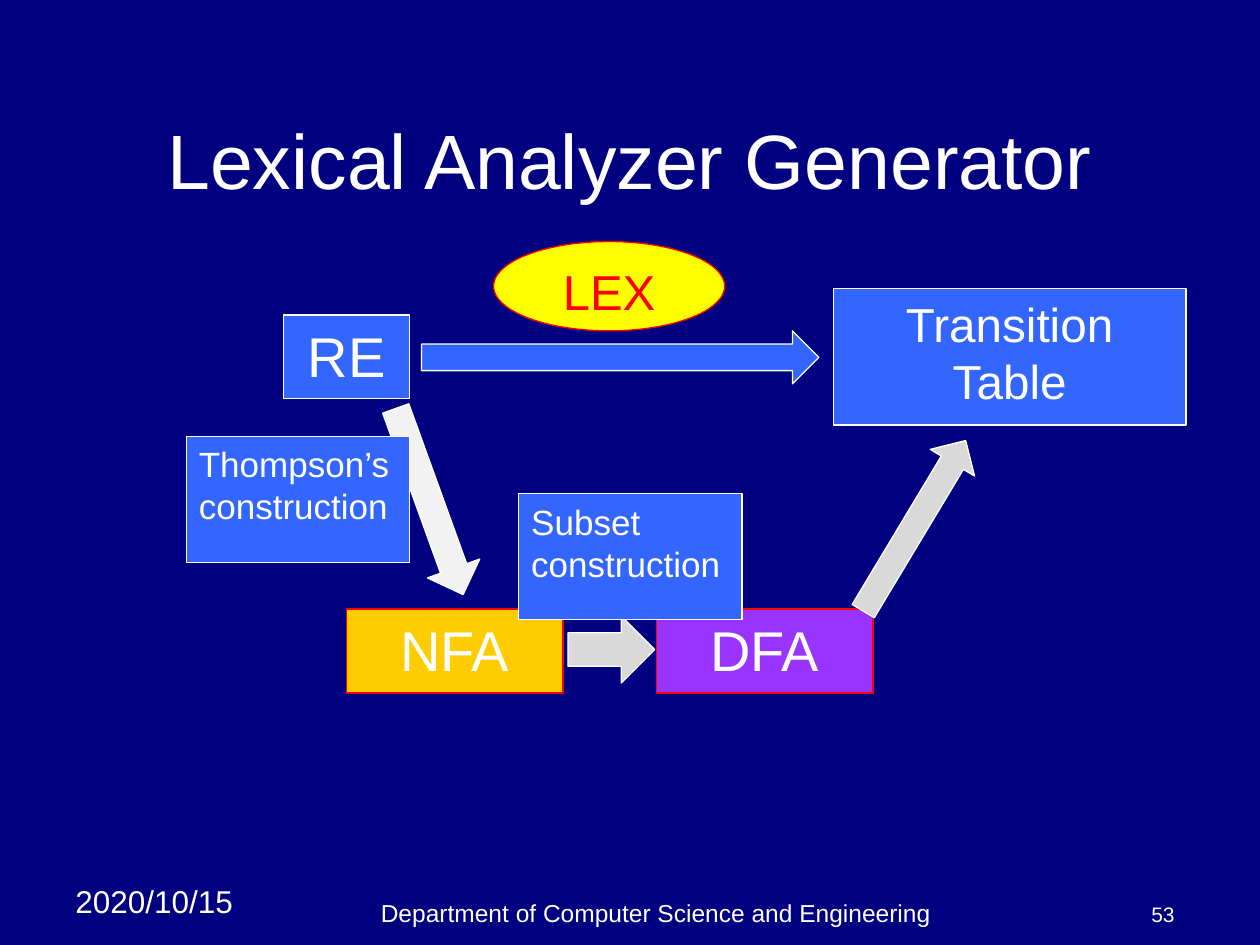
from dataclasses import dataclass
from typing import Optional

from pptx import Presentation
from pptx.dml.color import RGBColor
from pptx.enum.shapes import MSO_SHAPE
from pptx.enum.text import MSO_ANCHOR, PP_ALIGN
from pptx.util import Cm, Pt

RECT, OVAL, ARROW = MSO_SHAPE.RECTANGLE, MSO_SHAPE.OVAL, MSO_SHAPE.RIGHT_ARROW
LEFT, MID, RIGHT = PP_ALIGN.LEFT, PP_ALIGN.CENTER, PP_ALIGN.RIGHT
TOP, CENTER, BOTTOM = MSO_ANCHOR.TOP, MSO_ANCHOR.MIDDLE, MSO_ANCHOR.BOTTOM

FONT = "Arial"
COLORS = {
    "navy": "000080",
    "white": "FFFFFF",
    "blue": "3366FF",
    "yellow": "FFFF00",
    "red": "FF0000",
    "gold": "FFCC00",
    "purple": "9933FF",
    "pale": "F2F2F2",
    "gray": "D9D9D9",
}


@dataclass
class Item:
    """Lengths are centimetres; without a kind the item is a plain text box."""
    left: float
    top: float
    width: float
    height: float
    text: str = ""
    size: float = 20
    align: PP_ALIGN = MID
    anchor: MSO_ANCHOR = TOP
    ink: str = "white"
    kind: Optional[MSO_SHAPE] = None
    fill: str = "blue"
    edge: str = "white"
    turn: float = 0


LABELS = [
    Item(1.27, 17.65, 4.01, 1.02, "2020/10/15", 18, LEFT),
    Item(4.65, 17.98, 17.15, 0.84,
         "Department of Computer Science and Engineering", 14, anchor=BOTTOM),
    Item(22.23, 17.98, 1.7, 0.84, "53", 12, RIGHT, BOTTOM),
    Item(1.9, 1.07, 21.6, 4.24, "Lexical Analyzer Generator", 44, anchor=CENTER),
]

STAGES = [
    Item(5.72, 6.35, 2.54, 1.69, "RE", 32, kind=RECT),
    Item(8.5, 6.67, 8.01, 1.07, kind=ARROW),
    Item(16.8, 5.82, 7.11, 2.75, "Transition Table", 27.2, kind=RECT),
    Item(9.95, 4.87, 4.66, 1.8, "LEX", 28, ink="red", kind=OVAL,
         fill="yellow", edge="red"),
    Item(6.98, 12.28, 4.37, 1.69, "NFA", 32, kind=RECT, fill="gold", edge="red"),
    Item(13.23, 12.28, 4.37, 1.69, "DFA", 32, kind=RECT, fill="purple", edge="red"),
]

STEPS = [
    Item(6.66, 9.55, 3.99, 1.12, kind=ARROW, fill="pale", turn=70.1),
    Item(11.45, 12.42, 1.75, 1.35, kind=ARROW, fill="gray"),
    Item(16.43, 10.08, 4.01, 1.04, kind=ARROW, fill="gray", turn=301),
    Item(3.76, 8.8, 4.5, 2.54, "Thompson’s construction", align=LEFT, kind=RECT),
    Item(10.46, 9.95, 4.5, 2.54, "Subset\nconstruction", align=LEFT, kind=RECT),
]


def color(name: str) -> RGBColor:
    return RGBColor.from_string(COLORS[name])


def write(shape, item: Item) -> None:
    frame = shape.text_frame
    frame.word_wrap = True
    frame.vertical_anchor = item.anchor
    frame.margin_left = frame.margin_right = Cm(0.25)
    frame.margin_top = frame.margin_bottom = Cm(0.13)
    frame.text = item.text
    for para in frame.paragraphs:
        para.alignment = item.align
        para.font.name = FONT
        para.font.size = Pt(item.size)
        para.font.color.rgb = color(item.ink)


def draw(slide, item: Item) -> None:
    box = [Cm(v) for v in (item.left, item.top, item.width, item.height)]
    if item.kind is None:
        shape = slide.shapes.add_textbox(*box)
    else:
        shape = slide.shapes.add_shape(item.kind, *box)
        shape.shadow.inherit = False
        shape.fill.solid()
        shape.fill.fore_color.rgb = color(item.fill)
        shape.line.color.rgb = color(item.edge)
        shape.line.width = Pt(0.75)
        shape.rotation = item.turn
    if item.text:
        write(shape, item)


def main() -> None:
    deck = Presentation()
    deck.slide_width, deck.slide_height = Cm(25.4), Cm(19.05)
    slide = deck.slides.add_slide(deck.slide_layouts[6])
    slide.background.fill.solid()
    slide.background.fill.fore_color.rgb = color("navy")
    for item in LABELS + STAGES + STEPS:
        draw(slide, item)
    deck.save("out.pptx")


if __name__ == "__main__":
    main()
